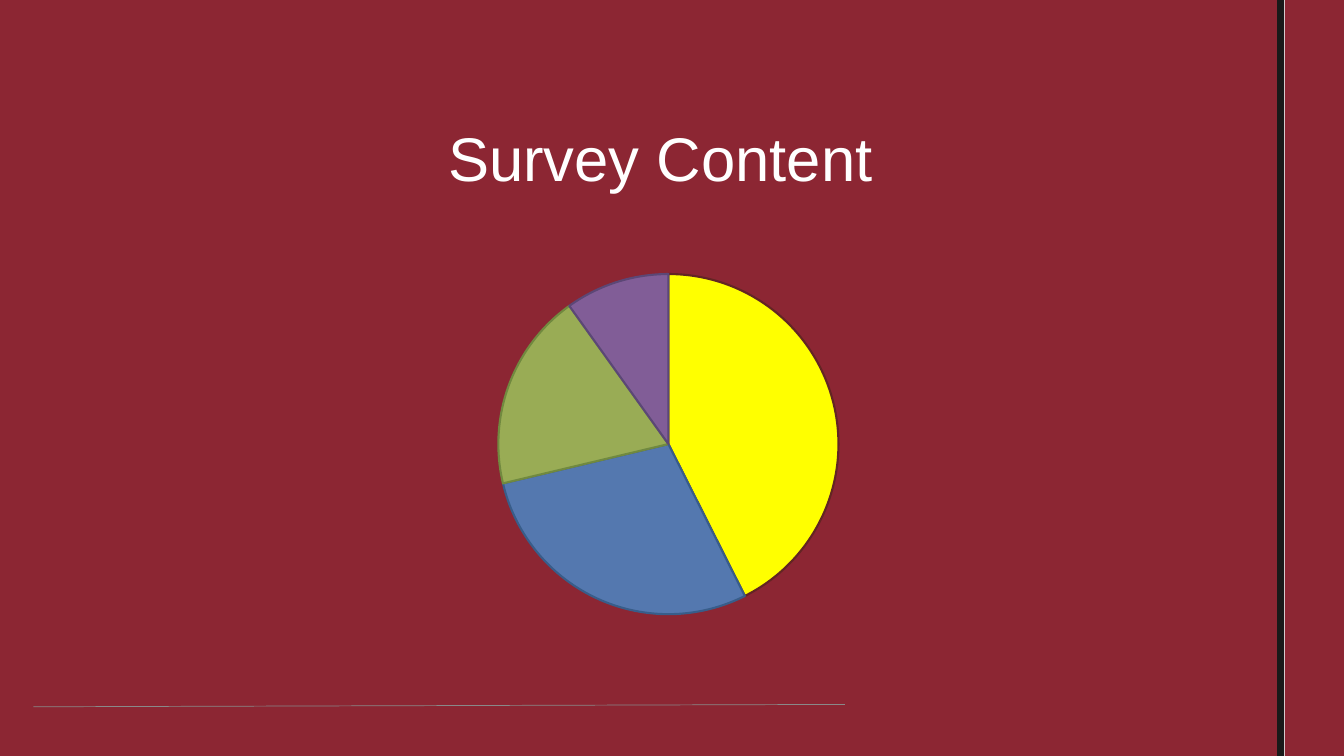
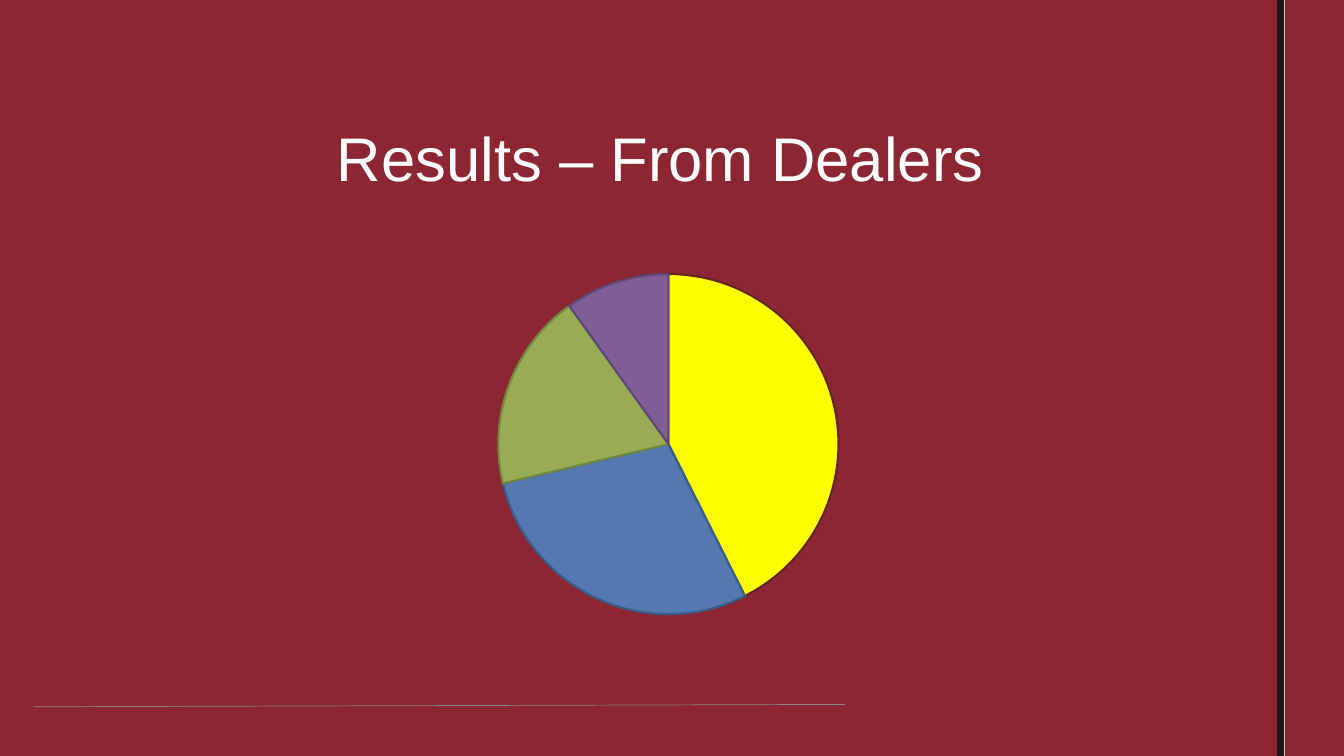
from lxml.etree import SubElement
from pptx import Presentation
from pptx.chart.data import CategoryChartData
from pptx.dml.color import RGBColor
from pptx.enum.chart import XL_CHART_TYPE
from pptx.enum.shapes import MSO_CONNECTOR, MSO_SHAPE
from pptx.enum.text import MSO_ANCHOR, MSO_AUTO_SIZE, PP_ALIGN
from pptx.oxml import parse_xml
from pptx.oxml.ns import qn
from pptx.util import Cm, Pt

WIDE, HIGH = 33.87, 19.05
RED, BLACK, GREY, WHITE = "8C2633", "191919", "898989", "FFFFFF"
BANDS = [(32.38, 1.49, RED), (32.16, 0.2, BLACK), (0, 32.18, RED)]
RULE = (0.84, 17.81, 21.29, 17.75)
TITLE = {"left": Cm(6.17), "top": Cm(2.06), "width": Cm(20.96), "height": Cm(3.81)}
FRAME = {"vertical_anchor": MSO_ANCHOR.MIDDLE, "word_wrap": True,
         "auto_size": MSO_AUTO_SIZE.NONE}
FONT = {"name": "Arial", "size": Pt(44), "bold": False}
LABEL = {"name": "Arial", "size": Pt(10)}
PIE = (8.46, 5.44, 16.94, 11.28)
PLOT = {"x": 0.02, "y": 0.13, "w": 0.95, "h": 0.76}
VALUES = [43, 29, 19, 10]
SLICES = [("FFFF00", "632523", 100), ("4F81BD", "385D8A", 90),
          ("9BBB59", "71893F", 90), ("8064A2", "5C4776", 90)]
TITLES = ["Survey Content", "Results – From Dealers"]
CHART_NS = "http://schemas.openxmlformats.org/drawingml/2006/chart"


def tint(code):
    return RGBColor.from_string(code)


def apply(item, style):
    for key, value in style.items():
        setattr(item, key, value)


def paint(fill, code):
    fill.solid()
    fill.fore_color.rgb = tint(code)


def add_band(slide, left, width, code):
    band = slide.shapes.add_shape(MSO_SHAPE.RECTANGLE, Cm(left), 0, Cm(width), Cm(HIGH))
    band.shadow.inherit = False
    paint(band.fill, code)
    band.line.fill.background()
    return band


def add_rule(slide):
    rule = slide.shapes.add_connector(MSO_CONNECTOR.STRAIGHT, *map(Cm, RULE))
    rule.line.width = Pt(0.5)
    paint(rule.line.fill, GREY)
    SubElement(rule.element.spPr, qn("a:effectLst"))
    return rule


def add_theme(slide, layout):
    parts = [add_band(slide, *band) for band in BANDS] + [add_rule(slide)]
    for spot, part in enumerate(parts):
        part.element.xpath(".//p:cNvPr")[0].set("id", str(100 + spot))
        layout.shapes.element.insert(2 + spot, part.element)


def add_title(slide, text):
    title = slide.shapes.title
    apply(title, TITLE)
    frame = title.text_frame
    frame.text = text
    apply(frame, FRAME)
    line = frame.paragraphs[0]
    line.alignment = PP_ALIGN.CENTER
    apply(line.runs[0].font, FONT)
    line.runs[0].font.color.rgb = tint(WHITE)


def place_plot(chart):
    area = chart.element.find(".//" + qn("c:plotArea"))
    for old in area.findall(qn("c:layout")):
        area.remove(old)
    modes = "".join(f'<c:{key}Mode val="edge"/>' for key in "xy")
    sizes = "".join(f'<c:{key} val="{value}"/>' for key, value in PLOT.items())
    area.insert(0, parse_xml(
        f'<c:layout xmlns:c="{CHART_NS}"><c:manualLayout>'
        f'<c:layoutTarget val="inner"/>{modes}{sizes}</c:manualLayout></c:layout>'))


def paint_slice(point, code, edge, alpha):
    paint(point.format.fill, code)
    paint(point.format.line.fill, edge)
    point.format.line.width = Pt(1.5)
    if alpha < 100:
        color = point.format.element.spPr.find(f"{qn('a:solidFill')}/{qn('a:srgbClr')}") \
            if hasattr(point.format, "element") else \
            point.format.fill.fore_color
        return color


def add_pie(slide):
    data = CategoryChartData()
    data.categories = [str(spot + 1) for spot in range(len(VALUES))]
    data.add_series("Series 1", VALUES)
    chart = slide.shapes.add_chart(XL_CHART_TYPE.PIE, *map(Cm, PIE), data).chart
    apply(chart, {"has_legend": False, "has_title": False})
    apply(chart.font, LABEL)
    chart.font.color.rgb = tint("000000")
    plot = chart.plots[0]
    plot.vary_by_categories = True
    series = plot.series[0]
    for spot, style in enumerate(SLICES):
        paint_slice(series.points[spot], *style)
    colors = chart.element.xpath(".//c:dPt/c:spPr/a:solidFill/a:srgbClr")
    for color, (_, _, alpha) in zip(colors, SLICES):
        if alpha < 100:
            SubElement(color, qn("a:alpha")).set("val", str(alpha * 1000))
    place_plot(chart)


def main():
    deck = Presentation()
    apply(deck, {"slide_width": Cm(WIDE), "slide_height": Cm(HIGH)})
    layout = deck.slide_layouts[5]
    for spot, text in enumerate(TITLES):
        slide = deck.slides.add_slide(layout)
        if spot == 0:
            add_theme(slide, layout)
        add_title(slide, text)
        add_pie(slide)
    deck.save("out.pptx")


if __name__ == "__main__":
    main()
